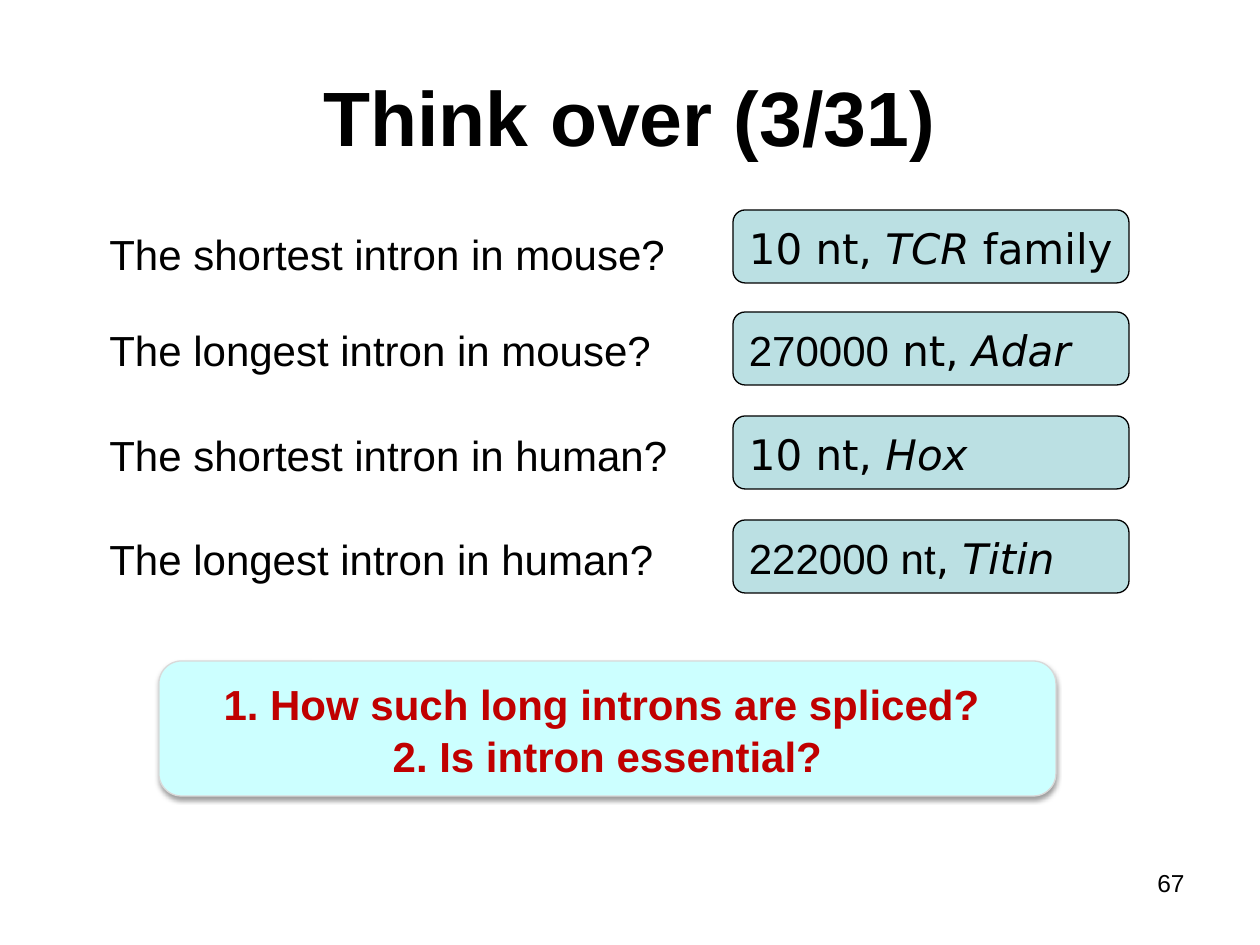
from dataclasses import dataclass

from lxml.etree import SubElement
from pptx import Presentation
from pptx.dml.color import RGBColor
from pptx.enum.shapes import MSO_SHAPE
from pptx.enum.text import MSO_ANCHOR, PP_ALIGN
from pptx.oxml.ns import qn
from pptx.util import Emu, Pt

PX_PER_INCH = 126


def px(length: int) -> Emu:
    return Emu(round(length * 914400 / PX_PER_INCH))


@dataclass(frozen=True)
class Theme:
    text: str = "000000"
    emphasis: str = "C00000"
    answer_fill: str = "BBE0E3"
    callout_fill: str = "CCFFFF"
    callout_line: str = "D9D9D9"
    font: str = "Arial"
    answer_font: str = "DejaVu Sans"
    title_size: int = 44
    body_size: int = 24
    number_size: int = 14
    body_spacing: float = 1.04


@dataclass(frozen=True)
class Box:
    left: int
    top: int
    width: int
    height: int

    def emu(self) -> tuple:
        return px(self.left), px(self.top), px(self.width), px(self.height)


@dataclass(frozen=True)
class Run:
    text: str
    font: str
    italic: bool = False


@dataclass(frozen=True)
class Row:
    question: str
    question_top: int
    answer_top: int
    answer: tuple


THEME = Theme()
SANS, ANSWER = THEME.font, THEME.answer_font
ROWS = (
    Row("The shortest intron in mouse?", 220, 210,
        (Run("10 nt, ", ANSWER), Run("TCR", ANSWER, True), Run(" family", ANSWER))),
    Row("The longest intron in mouse?", 316, 312,
        (Run("270000", SANS), Run(" nt, ", ANSWER), Run("Adar", ANSWER, True))),
    Row("The shortest intron in human?", 421, 416,
        (Run("10 nt, ", ANSWER), Run("Hox", ANSWER, True))),
    Row("The longest intron in human?", 525, 520,
        (Run("222000 nt", SANS), Run(", ", ANSWER), Run("Titin", ANSWER, True))),
)


def write_text(shape, *lines, size=THEME.body_size, color=THEME.text, bold=False,
               align=PP_ALIGN.LEFT, anchor=MSO_ANCHOR.TOP,
               spacing=THEME.body_spacing) -> None:
    """Write each line, a string or a tuple of runs, as one paragraph."""
    frame = shape.text_frame
    frame.word_wrap = True
    frame.vertical_anchor = anchor
    for index, line in enumerate(lines):
        paragraph = frame.add_paragraph() if index else frame.paragraphs[0]
        paragraph.alignment = align
        paragraph.line_spacing = spacing
        for part in (Run(line, SANS),) if isinstance(line, str) else line:
            run = paragraph.add_run()
            run.text = part.text
            run.font.name = part.font
            run.font.size = Pt(size)
            run.font.bold = bold
            run.font.italic = part.italic
            run.font.color.rgb = RGBColor.from_string(color)


def add_text(slide, box: Box, *lines, **text_format) -> None:
    write_text(slide.shapes.add_textbox(*box.emu()), *lines, **text_format)


def add_panel(slide, box: Box, fill: str, line: str):
    shape = slide.shapes.add_shape(MSO_SHAPE.ROUNDED_RECTANGLE, *box.emu())
    shape.shadow.inherit = False
    shape.fill.solid()
    shape.fill.fore_color.rgb = RGBColor.from_string(fill)
    shape.line.color.rgb = RGBColor.from_string(line)
    shape.line.width = Pt(0.75)
    return shape


def add_soft_shadow(shape) -> None:
    effects = shape._element.spPr.find(qn("a:effectLst"))
    shadow = SubElement(effects, qn("a:outerShdw"), blurRad=str(Pt(3.1)),
                        dist=str(Pt(1.6)), dir="5400000", rotWithShape="0")
    color = SubElement(shadow, qn("a:srgbClr"), val="000000")
    SubElement(color, qn("a:alpha"), val="38000")


def add_row(slide, row: Row) -> None:
    add_text(slide, Box(97, row.question_top, 590, 64), row.question)
    panel = add_panel(slide, Box(733, row.answer_top, 396, 73),
                      THEME.answer_fill, THEME.text)
    panel.text_frame.margin_right = 0
    write_text(panel, row.answer, anchor=MSO_ANCHOR.MIDDLE)


def main() -> None:
    presentation = Presentation()
    presentation.slide_width = px(1260)
    presentation.slide_height = px(945)
    slide = presentation.slides.add_slide(presentation.slide_layouts[6])

    # Questions and answers
    for row in ROWS:
        add_row(slide, row)

    # Title
    add_text(slide, Box(0, 64, 1260, 116), "Think over (3/31)", size=THEME.title_size,
             bold=True, align=PP_ALIGN.CENTER, anchor=MSO_ANCHOR.MIDDLE, spacing=0.9)

    # Discussion callout
    callout = add_panel(slide, Box(159, 661, 897, 135),
                        THEME.callout_fill, THEME.callout_line)
    add_soft_shadow(callout)
    write_text(callout, "1. How such long introns are spliced? ",
               "2. Is intron essential?", color=THEME.emphasis, bold=True,
               align=PP_ALIGN.CENTER, anchor=MSO_ANCHOR.MIDDLE)

    # Slide number
    add_text(slide, Box(903, 861, 294, 66), "67", size=THEME.number_size,
             align=PP_ALIGN.RIGHT)

    presentation.save("out.pptx")


if __name__ == "__main__":
    main()
